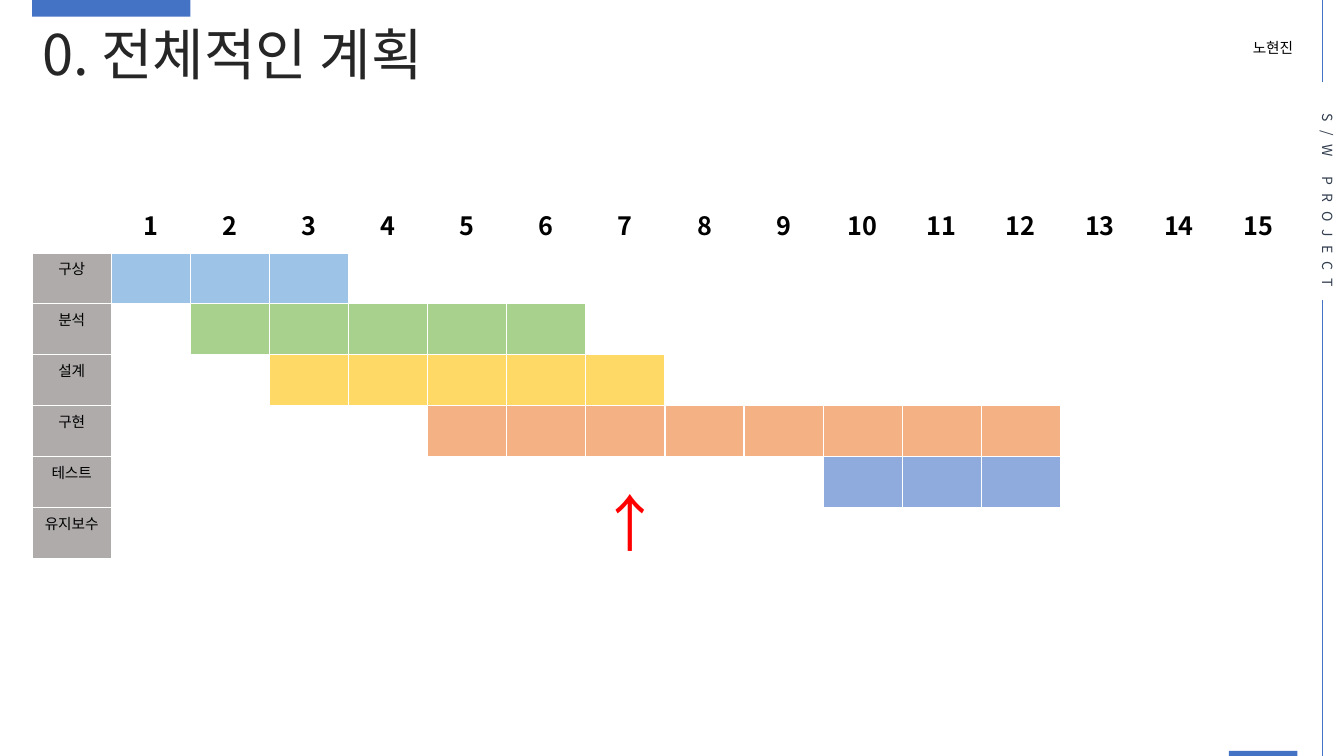
import pptx
import pptx.dml.color
import pptx.enum.shapes
import pptx.enum.text
import pptx.oxml
import pptx.oxml.ns
import pptx.util
from lxml import etree

Pt = pptx.util.Pt
RGB = pptx.dml.color.RGBColor.from_string
ALIGN = pptx.enum.text.PP_ALIGN
qn = pptx.oxml.ns.qn


class Theme:
    font = "Noto Sans CJK KR"
    accent, white, black = "4472C4", "FFFFFF", "000000"
    title, side, marker, label = "262626", "333F50", "FF0000", "AFABAB"
    title_size, marker_size, week_size = 40, 44, 18
    body_size, side_size = 10.5, 10


def write(tf, text, size, color, bold=False, align=ALIGN.LEFT):
    """Fill a frame with one paragraph, with the font set for Latin and Korean."""
    p = tf.paragraphs[0]
    p.text = text
    p.alignment = align
    p.font.size = Pt(size)
    p.font.bold = bold
    p.font.color.rgb = RGB(color)
    p.font.name = Theme.font
    etree.SubElement(p._p.pPr.find(qn("a:defRPr")), qn("a:ea"), typeface=Theme.font)
    return p


def paint_cell(cell, color, bottom):
    """Give a cell its fill and white borders, the bottom one in points."""
    tcPr = cell._tc.get_or_add_tcPr()
    for side, width in (("lnL", 1), ("lnR", 1), ("lnT", 1), ("lnB", bottom)):
        ln = etree.SubElement(tcPr, qn(f"a:{side}"), w=str(Pt(width)))
        fill = etree.SubElement(ln, qn("a:solidFill"))
        etree.SubElement(fill, qn("a:srgbClr"), val=Theme.white)
    cell.fill.solid()
    cell.fill.fore_color.rgb = RGB(color)


prs = pptx.Presentation()
prs.slide_width, prs.slide_height = Pt(960), Pt(540)
s = prs.slides.add_slide(prs.slide_layouts[5])

# Accent bars and side rules
for x, y, w, h in ((23, 0, 113, 12), (877.7, 536.4, 49, 3.6)):
    sp = s.shapes.add_shape(pptx.enum.shapes.MSO_SHAPE.RECTANGLE, Pt(x), Pt(y), Pt(w), Pt(h))
    sp.shadow.inherit = False
    sp.fill.solid()
    sp.fill.fore_color.rgb = RGB(Theme.accent)
    sp.line.fill.background()

for top, bottom in ((0, 58.3), (214.5, 540)):
    rule = s.shapes.add_connector(
        pptx.enum.shapes.MSO_CONNECTOR.STRAIGHT, Pt(944.6), Pt(top), Pt(944.6), Pt(bottom))
    rule.line.color.rgb = RGB(Theme.accent)
    rule.line.width = Pt(0.5)
    etree.SubElement(rule._element.spPr, qn("a:effectLst"))

# Title
title = s.shapes.title
title.left, title.top, title.width, title.height = Pt(23), Pt(15.8), Pt(317), Pt(55.4)
tf = title.text_frame
tf.word_wrap = False
tf.auto_size = pptx.enum.text.MSO_AUTO_SIZE.NONE
tf.vertical_anchor = pptx.enum.text.MSO_ANCHOR.TOP
write(tf, "0. 전체적인 계획", Theme.title_size, Theme.title).line_spacing = 0.9

# Side label, running downwards
side = s.shapes.add_textbox(Pt(931.7), Pt(74.2), Pt(26.6), Pt(140.4))
side.text_frame.word_wrap = False
side.text_frame._txBody.bodyPr.set("vert", "eaVert")
p = write(side.text_frame, "S/W PROJECT", Theme.side_size, Theme.side)
p._p.pPr.find(qn("a:defRPr")).set("spc", "600")

# Schedule: phase, first week, last week, colour
phases = [
    ("구상", 1, 3, "9DC3E6"),
    ("분석", 2, 6, "A9D18E"),
    ("설계", 3, 7, "FFD966"),
    ("구현", 5, 12, "F4B183"),
    ("테스트", 10, 12, "8FAADC"),
    ("유지보수", 0, 0, Theme.white),
]
weeks = range(1, 16)
table = s.shapes.add_table(
    len(phases) + 1, len(weeks) + 1, Pt(23), Pt(144), Pt(904.3), Pt(254.9)).table
table.horz_banding = False
for col in table.columns:
    col.width = Pt(56.52)
for row in table.rows:
    row.height = Pt(36.41)

paint_cell(table.cell(0, 0), Theme.white, 3)
for week in weeks:
    cell = table.cell(0, week)
    paint_cell(cell, Theme.white, 3)
    write(cell.text_frame, str(week), Theme.week_size, Theme.black, True, ALIGN.CENTER)

for i, (name, first, last, color) in enumerate(phases, start=1):
    label = table.cell(i, 0)
    paint_cell(label, Theme.label, 1)
    write(label.text_frame, name, Theme.body_size, Theme.black, align=ALIGN.CENTER)
    for week in weeks:
        paint_cell(table.cell(i, week), color if first <= week <= last else Theme.white, 1)

# Author and current-week marker
for x, y, w, h, text, size, color in (
    (887.8, 24.5, 49, 20.9, "노현진", Theme.body_size, Theme.black),
    (421.2, 342.7, 33.1, 60.5, "↑", Theme.marker_size, Theme.marker),
):
    box = s.shapes.add_textbox(Pt(x), Pt(y), Pt(w), Pt(h))
    box.text_frame.word_wrap = True
    write(box.text_frame, text, size, color)

prs.save("out.pptx")
